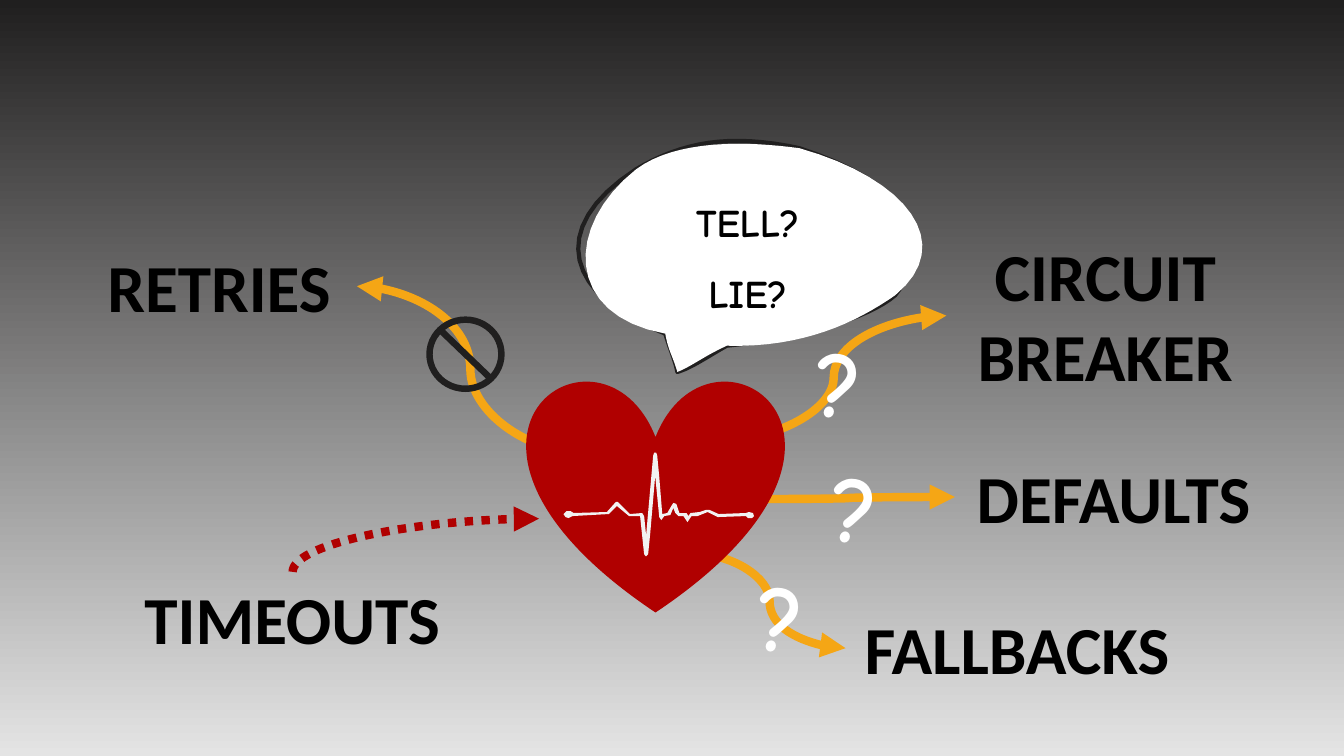
from pptx import Presentation
from pptx.dml.color import RGBColor as Rgb
from pptx.enum.dml import MSO_LINE as Dash
from pptx.enum.shapes import MSO_CONNECTOR as Link, MSO_SHAPE as Form
from pptx.enum.text import MSO_ANCHOR as Anchor, MSO_AUTO_SIZE as Fit, PP_ALIGN as Align
from pptx.oxml.ns import qn
from pptx.util import Pt
from lxml.etree import SubElement as Sub

INK = {"dark": "201F1F", "pale": "E4E4E4", "black": "000000", "white": "FFFFFF",
       "red": "B00000", "gold": "F5A615", "pulse": "F2F2F2"}
GRID = 0.72

LABELS = [
    ("DEFAULTS", 682, 322.5, 227, 65.5),
    ("RETRIES", 57.5, 171.5, 198, 65.5),
    ("FALLBACKS", 604, 430.5, 245, 65.5),
    ("CIRCUIT\nBREAKER", 676, 163.5, 227, 124),
    ("TIMEOUTS", 93.5, 409, 230.5, 65.5),
]
ARROWS = [
    (417, 323.5, 255, 204.5),
    (515, 314.5, 676, 225.5),
    (530.5, 356.5, 682, 355),
    (495.5, 395.5, 604, 463),
]
MARKS = [(576, 229), (587.5, 318), (535, 395.5)]

PULSE = [
    (651, 449), (652, 452), (654, 473), (657, 510), (662, 509), (666, 502), (668, 499),
    (671, 500), (674, 509), (681, 509), (683, 512), (685, 509), (694, 508), (700, 506),
    (704, 506), (713, 510), (740, 509), (743, 508), (747, 509), (748, 512), (746, 514),
    (742, 514), (740, 512), (712, 513), (702, 508), (692, 512), (686, 512), (682, 518),
    (680, 515), (678, 512), (673, 512), (670, 509), (668, 504), (665, 511), (659, 512),
    (656, 516), (654, 513), (650, 472), (645, 530), (643, 550), (641, 552), (639, 550),
    (635, 512), (624, 512), (612, 502), (604, 510), (568, 512), (564, 514), (561, 513),
    (559, 510), (562, 507), (566, 507), (569, 509), (602, 508), (611, 498), (613, 498),
    (625, 510), (637, 509), (639, 512), (641, 531), (648, 452), (649, 449),
]
TIP = (672, 369)
RIM = [
    ((670, 358), (666, 350), (660, 331)), ((563, 295), (540, 227), (631, 168)),
    ((677, 141), (723, 132), (793, 147)), ((896, 181), (939, 232), (888, 293)),
    ((862, 316), (791, 336), (721, 343)), ((703, 353), (686, 365), TIP),
]
BODY = [
    ((667, 352), (663, 348), (660, 331)), ((560, 313), (560, 224), (631, 168)),
    ((671, 138), (741, 140), (793, 147)), ((900, 177), (950, 242), (888, 293)),
    ((849, 320), (797, 345), (721, 343)), ((697, 354), (687, 363), TIP),
]


def rgb(name):
    """Return the named colour."""
    return Rgb.from_string(INK[name])


def put(item, form):
    """Set each attribute in form on item."""
    for key, val in form.items():
        setattr(item, key, val)


def paint(shape, fill=None, line=None, width=3):
    """Give a shape its fill and line, without a shadow."""
    shape.shadow.inherit = False
    for part, name in ((shape.fill, fill), (shape.line.fill, line)):
        if name:
            part.solid()
            part.fore_color.rgb = rgb(name)
        else:
            part.background()
    if line:
        shape.line.width = Pt(width)
    return shape


def write(shape, text, frame, para, font, ink):
    """Fill a shape with formatted paragraphs."""
    shape.text_frame.text = text
    put(shape.text_frame, {"word_wrap": True, **frame})
    for row in shape.text_frame.paragraphs:
        put(row, para)
        put(row.font, {"bold": True, **font})
        row.font.color.rgb = rgb(ink)


def label(shapes, text, box, align, font, ink):
    """Add a text box that grows with its text."""
    shape = shapes.add_textbox(*map(Pt, box))
    write(shape, text, {"auto_size": Fit.SHAPE_TO_FIT_TEXT}, {"alignment": align}, font, ink)


def arrow(shapes, ends, ink):
    """Add a thick curved arrow."""
    link = shapes.add_connector(Link.CURVE, *map(Pt, ends))
    link.line.color.rgb = rgb(ink)
    link.line.width = Pt(6)
    Sub(link.line._get_or_add_ln(), qn("a:tailEnd"), type="triangle")
    Sub(link._element.spPr, qn("a:effectLst"))
    return link


def bend(link):
    """Turn an arrow into a dotted quarter bend."""
    link.line.dash_style = Dash.ROUND_DOT
    props = link._element.spPr
    props.find(qn("a:prstGeom")).set("prst", "curvedConnector2")
    props.find(qn("a:xfrm")).set("rot", "5400000")


def trace(start, curves, steps=16):
    """Return points along a chain of cubic curves."""
    dots = [start]
    for one, two, end in curves:
        first = dots[-1]
        for step in range(1, steps + 1):
            t = step / steps
            u = 1 - t
            dots.append(tuple(u**3 * a + 3 * u * u * t * b + 3 * u * t * t * c + t**3 * d
                              for a, b, c, d in zip(first, one, two, end)))
    return dots


def outline(shapes, dots):
    """Add a closed shape through grid points."""
    spots = [(Pt(x * GRID), Pt(y * GRID)) for x, y in dots]
    pen = shapes.build_freeform(*spots[0])
    pen.add_line_segments(spots[1:], close=True)
    return pen.convert_to_shape()


def bubble(shapes):
    """Add the speech bubble with its offset rim."""
    paint(outline(shapes, trace(TIP, RIM)), line="dark")
    body = paint(outline(shapes, trace(TIP, BODY)), "white")
    frame = {"vertical_anchor": Anchor.MIDDLE, "margin_bottom": Pt(21.5), "margin_right": Pt(16)}
    para = {"alignment": Align.CENTER, "line_spacing": 1.5}
    write(body, "TELL?\nLIE?", frame, para, {"name": "Comic Neue", "size": Pt(28)}, "black")


def shade(slide):
    """Give the slide its vertical gradient."""
    fill = slide.background.fill
    fill.gradient()
    fill.gradient_angle = 270
    for stop, name in zip(fill.gradient_stops, ("dark", "pale")):
        stop.color.rgb = rgb(name)


def main():
    """Build and save the slide."""
    deck = Presentation()
    put(deck, {"slide_width": Pt(960), "slide_height": Pt(540)})
    slide = deck.slides.add_slide(deck.slide_layouts[6])
    shade(slide)
    shapes = slide.shapes
    for text, *box in LABELS:
        label(shapes, text, box, Align.CENTER, {"name": "Calibri", "size": Pt(48)}, "black")
    bend(arrow(shapes, (316, 477.5, 278, 301.5), "red"))
    for ends in ARROWS:
        arrow(shapes, ends, "gold")
    paint(shapes.add_shape(Form.HEART, Pt(376.5), Pt(270.5), Pt(183.5), Pt(167)), "red")
    paint(outline(shapes, PULSE), "pulse")
    bubble(shapes)
    ban = shapes.add_shape(Form.NO_SYMBOL, Pt(304.5), Pt(226), Pt(56), Pt(54))
    ban.adjustments[0] = 0.086
    paint(ban, "dark")
    for spot in MARKS:
        label(shapes, "?", (*spot, 52, 87), Align.LEFT, {"name": "Comic Neue", "size": Pt(66)}, "white")
    deck.save("out.pptx")


if __name__ == "__main__":
    main()
